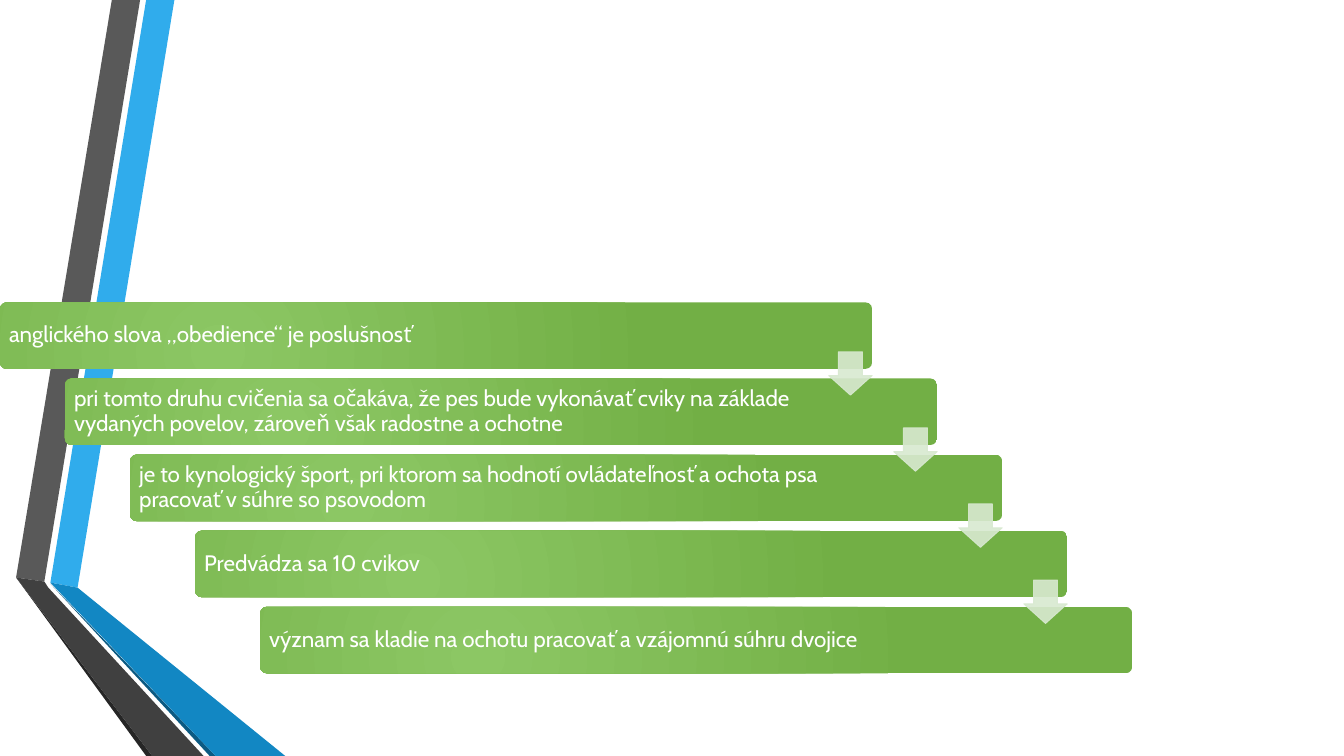
from dataclasses import dataclass

import pptx
import pptx.dml.color
import pptx.enum.shapes
import pptx.enum.text
import pptx.oxml
import pptx.oxml.ns
import pptx.util
from pptx.util import Inches


@dataclass(frozen=True)
class Theme:
    font: str = "Cabin"
    text_size: int = 16
    text: str = "FFFFFF"
    bar_light: str = "8CC764"
    bar_dark: str = "72AF45"
    arrow: str = "D8E9D0"
    arrow_opacity: int = 90
    blue: str = "30ACEC"
    blue_fold: str = "1287C3"
    blue_edge: str = "0C5A82"
    gray: str = "595959"
    gray_fold: str = "404040"
    gray_edge: str = "262626"


THEME = Theme()
SHAPES = pptx.enum.shapes.MSO_SHAPE

# Ribbon pieces from back to front: colour and corner points in inches
RIBBONS = [
    (THEME.blue, [(0.5, 5.78), (0.77, 5.83), (1.73, 0), (1.45, 0)]),
    (THEME.gray, [(1.39, 0), (1.11, 0), (0.16, 5.73), (0.44, 5.77)]),
    (THEME.gray_edge, [(0.16, 5.73), (1.45, 7.5), (1.51, 7.5)]),
    (THEME.blue_edge, [(0.5, 5.79), (2.08, 7.5), (2.14, 7.5)]),
    (THEME.blue_fold, [(0.5, 5.78), (2.14, 7.5), (2.83, 7.5), (0.77, 5.83)]),
    (THEME.gray_fold, [(2.02, 7.5), (0.48, 5.83), (0.44, 5.77), (0.16, 5.73), (1.51, 7.5)]),
]

# Staircase of statements
STATEMENTS = [
    "anglického slova „obedience“ je poslušnosť",
    "pri tomto druhu cvičenia sa očakáva, že pes bude vykonávať cviky na základe "
    "vydaných povelov, zároveň však radostne a ochotne",
    "je to kynologický šport, pri ktorom sa hodnotí ovládateľnosť a ochota psa "
    "pracovať v súhre so psovodom",
    "Predvádza sa 10 cvikov",
    "význam sa kladie na ochotu pracovať a vzájomnú súhru dvojice",
]
STAIR_TOP = 3
STEP_RIGHT = 2.58 / (len(STATEMENTS) - 1)
STEP_DOWN = 3.02 / (len(STATEMENTS) - 1)
BAR_WIDTH, BAR_HEIGHT = 8.65, 0.66
ARROW_SIZE = 0.43
ARROW_LEFT, ARROW_DROP = BAR_WIDTH - ARROW_SIZE, 0.49


def rgb(value):
    return pptx.dml.color.RGBColor.from_string(value)


def set_opacity(fill_owner, percent):
    """Make every colour inside the given XML element partly transparent."""
    for color in fill_owner.iter(pptx.oxml.ns.qn("a:srgbClr")):
        alpha = color.makeelement(pptx.oxml.ns.qn("a:alpha"), {"val": str(percent * 1000)})
        color.append(alpha)


def set_radial_gradient(shape, inner, outer):
    gradient = pptx.oxml.parse_xml(
        f'<a:gradFill {pptx.oxml.ns.nsdecls("a")} rotWithShape="1"><a:gsLst>'
        f'<a:gs pos="0"><a:srgbClr val="{inner}"/></a:gs>'
        f'<a:gs pos="100000"><a:srgbClr val="{outer}"/></a:gs></a:gsLst>'
        '<a:path path="circle"><a:fillToRect l="50000" t="100000" r="100000" b="50000"/>'
        '</a:path></a:gradFill>'
    )
    geometry = shape._element.spPr.find(pptx.oxml.ns.qn("a:prstGeom"))
    geometry.addnext(gradient)


def write_text(shape, text, *, size, color, left_inset, right_inset):
    frame = shape.text_frame
    frame.word_wrap = True
    frame.vertical_anchor = pptx.enum.text.MSO_ANCHOR.MIDDLE
    frame.margin_left, frame.margin_right = Inches(left_inset), Inches(right_inset)
    frame.margin_top = frame.margin_bottom = Inches(0.07)
    paragraph = frame.paragraphs[0]
    paragraph.text = text
    paragraph.alignment = pptx.enum.text.PP_ALIGN.LEFT
    paragraph.line_spacing = 0.9
    paragraph.font.name = THEME.font
    paragraph.font.size = pptx.util.Pt(size)
    paragraph.font.color.rgb = rgb(color)


def add_ribbon(slide, color, points):
    corners = [(Inches(x), Inches(y)) for x, y in points]
    builder = slide.shapes.build_freeform(*corners[0])
    builder.add_line_segments(corners[1:], close=True)
    shape = builder.convert_to_shape()
    shape.shadow.inherit = False
    shape.fill.solid()
    shape.fill.fore_color.rgb = rgb(color)
    shape.line.fill.background()


def add_bar(slide, left, top, text, right_inset):
    shape = slide.shapes.add_shape(
        SHAPES.ROUNDED_RECTANGLE, Inches(left), Inches(top), Inches(BAR_WIDTH), Inches(BAR_HEIGHT)
    )
    shape.adjustments[0] = 0.1
    shape.shadow.inherit = False
    shape.line.fill.background()
    set_radial_gradient(shape, THEME.bar_light, THEME.bar_dark)
    write_text(shape, text, size=THEME.text_size, color=THEME.text,
               left_inset=0.07, right_inset=right_inset)


def add_arrow(slide, left, top):
    shape = slide.shapes.add_shape(
        SHAPES.DOWN_ARROW, Inches(left), Inches(top), Inches(ARROW_SIZE), Inches(ARROW_SIZE)
    )
    shape.adjustments[0], shape.adjustments[1] = 0.55, 0.45
    shape.shadow.inherit = False
    shape.fill.solid()
    shape.fill.fore_color.rgb = rgb(THEME.arrow)
    shape.line.color.rgb = rgb(THEME.arrow)
    shape.line.width = pptx.util.Pt(0.75)
    set_opacity(shape._element.spPr, THEME.arrow_opacity)


def main():
    presentation = pptx.Presentation()
    presentation.slide_width, presentation.slide_height = Inches(13.33), Inches(7.5)
    slide = presentation.slides.add_slide(presentation.slide_layouts[6])

    # Folded ribbons on the left
    for color, points in RIBBONS:
        add_ribbon(slide, color, points)

    # Bars; lower ones keep their text clear of the arrow above
    for index, statement in enumerate(STATEMENTS):
        add_bar(slide, index * STEP_RIGHT, STAIR_TOP + index * STEP_DOWN, statement,
                right_inset=1.15 if index else 0.83)

    # Arrows from each bar to the next
    for index in range(len(STATEMENTS) - 1):
        add_arrow(slide, ARROW_LEFT + index * STEP_RIGHT,
                  STAIR_TOP + ARROW_DROP + index * STEP_DOWN)

    presentation.save("out.pptx")


if __name__ == "__main__":
    main()
